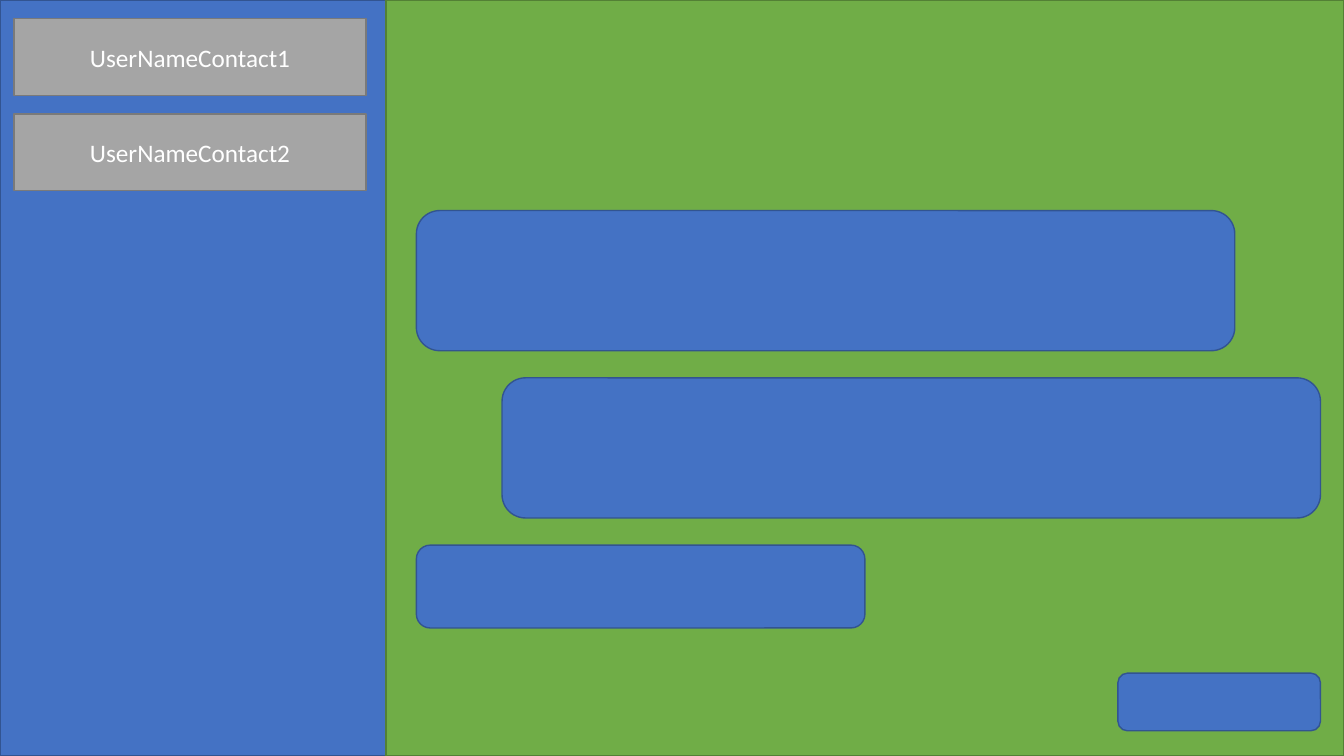
from dataclasses import dataclass

from pptx import Presentation
from pptx.dml.color import RGBColor
from pptx.enum.shapes import MSO_SHAPE
from pptx.enum.text import MSO_ANCHOR, PP_ALIGN
from pptx.shapes.autoshape import Shape
from pptx.slide import Slide
from pptx.util import Pt

RECT = MSO_SHAPE.RECTANGLE
ROUND = MSO_SHAPE.ROUNDED_RECTANGLE
MIDDLE = MSO_ANCHOR.MIDDLE
CENTER = PP_ALIGN.CENTER


@dataclass(frozen=True)
class Paint:
    """Fill and line colours of one kind of box."""
    fill: str
    line: str


@dataclass(frozen=True)
class Theme:
    """Colours, font and sizes of the slide."""
    blue: Paint = Paint("4472C4", "325491")
    gray: Paint = Paint("A5A5A5", "7A7A7A")
    green: Paint = Paint("70AD47", "538035")
    text: str = "FFFFFF"
    font: str = "Calibri"
    size: float = 18
    stroke: float = 1


@dataclass(frozen=True)
class Box:
    """Place of one box, in points."""
    left: float
    top: float
    width: float
    height: float


@dataclass(frozen=True)
class Bubble:
    """Size and side of one chat message."""
    width: float
    height: float
    sent: bool


THEME = Theme()
WIDTH, HEIGHT = 960, 540
SPLIT = 275.8
CONTACTS = ("UserNameContact1", "UserNameContact2")
CARD = Box(10.1, 13.4, 251.3, 54.7)
STEP = 68
CHAT_LEFT, CHAT_RIGHT = 297.4, 943.2
CHAT_TOP, CHAT_GAP = 150.4, 19.4
BUBBLES = (
    Bubble(584.6, 100.1, False),
    Bubble(584.6, 100.1, True),
    Bubble(320.4, 59.2, False),
)
BUTTON = Box(798.5, 480.8, 144.7, 41.2)


def draw(slide: Slide, box: Box, paint: Paint, kind: MSO_SHAPE = RECT) -> Shape:
    """Draw one flat box with a thin outline."""
    shape = slide.shapes.add_shape(
        kind, Pt(box.left), Pt(box.top), Pt(box.width), Pt(box.height))
    shape.shadow.inherit = False
    shape.fill.solid()
    shape.fill.fore_color.rgb = RGBColor.from_string(paint.fill)
    shape.line.color.rgb = RGBColor.from_string(paint.line)
    shape.line.width = Pt(THEME.stroke)
    return shape


def label(shape: Shape, text: str) -> None:
    """Write centred text in a box."""
    frame = shape.text_frame
    frame.vertical_anchor = MIDDLE
    para = frame.paragraphs[0]
    para.alignment = CENTER
    run = para.add_run()
    run.text = text
    style = {"name": THEME.font, "size": Pt(THEME.size)}
    for key, value in style.items():
        setattr(run.font, key, value)
    run.font.color.rgb = RGBColor.from_string(THEME.text)


def list_contacts(slide: Slide) -> None:
    """Draw the side panel and its contact cards."""
    draw(slide, Box(0, 0, SPLIT, HEIGHT), THEME.blue)
    for row, name in enumerate(CONTACTS):
        box = Box(CARD.left, CARD.top + row * STEP, CARD.width, CARD.height)
        label(draw(slide, box, THEME.gray), name)


def show_chat(slide: Slide) -> None:
    """Draw the chat panel, its messages and the button."""
    draw(slide, Box(SPLIT, 0, WIDTH - SPLIT, HEIGHT), THEME.green)
    top = CHAT_TOP
    for item in BUBBLES:
        left = CHAT_RIGHT - item.width if item.sent else CHAT_LEFT
        draw(slide, Box(left, top, item.width, item.height), THEME.blue, ROUND)
        top += item.height + CHAT_GAP
    draw(slide, BUTTON, THEME.blue, ROUND)


def main() -> None:
    """Build and save the slide."""
    deck = Presentation()
    deck.slide_width, deck.slide_height = Pt(WIDTH), Pt(HEIGHT)
    slide = deck.slides.add_slide(deck.slide_layouts[6])
    list_contacts(slide)
    show_chat(slide)
    deck.save("out.pptx")


main()
